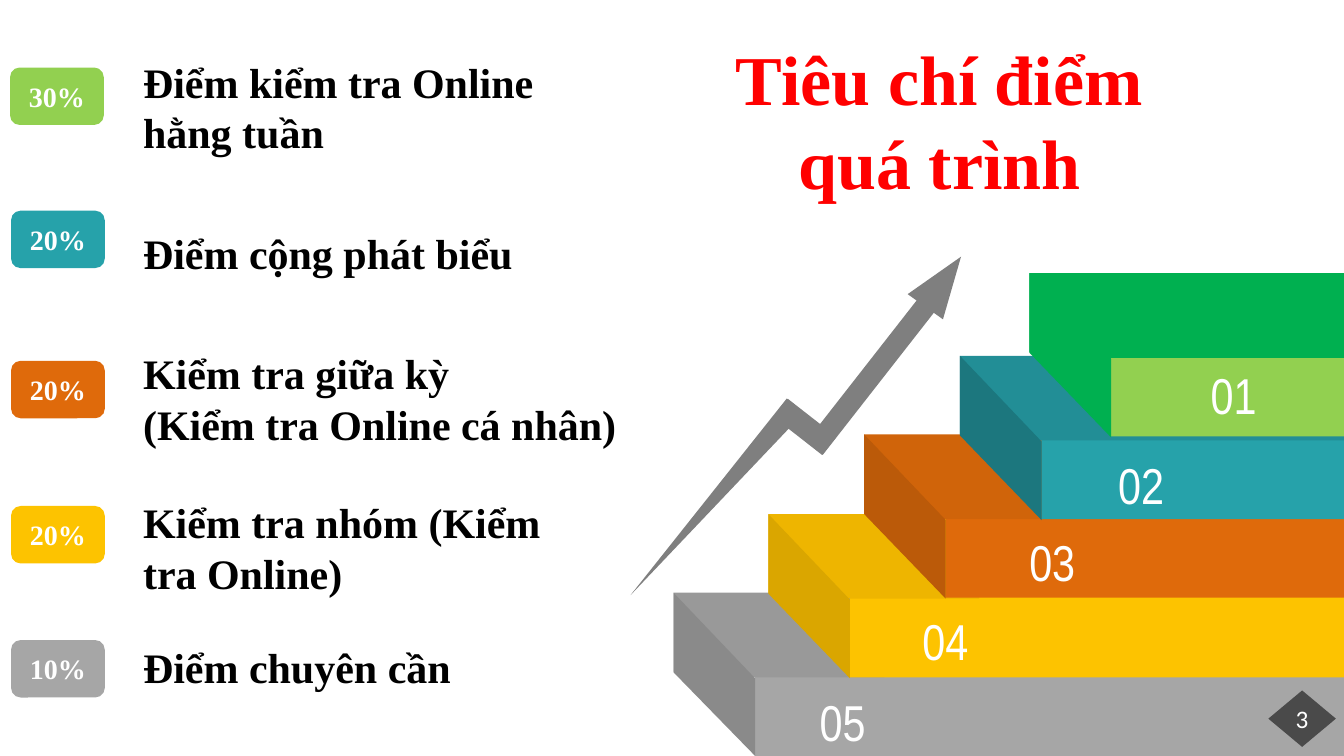
from lxml import etree
from pptx import Presentation
from pptx.dml.color import RGBColor
from pptx.enum import shapes, text
from pptx.oxml.ns import qn
from pptx.util import Inches, Pt

SLIDE_W, SLIDE_H = 13.33, 7.5
COLORS = {
    "green": "92D050", "green_dark": "00B050",
    "teal": "26A2AA", "teal_top": "228E96", "teal_side": "1C777E",
    "orange": "DF6A0B", "orange_top": "D0640A", "orange_side": "BB5A09",
    "yellow": "FDC300", "yellow_top": "EEB500", "yellow_side": "DAA600",
    "gray": "A6A6A6", "gray_top": "999999", "gray_side": "8A8A8A",
    "arrow": "7F7F7F", "title": "FF0000", "black": "000000", "white": "FFFFFF",
}
SERIF = "Times New Roman"
TITLE = ["Tiêu chí điểm ", "quá trình "]

# share, badge left and top, badge colour, lines, label top, label width, label height
CRITERIA = [
    ("30%", 0.10, 0.67, "green", ["Điểm kiểm tra Online hằng tuần"], 0.51, 4.81, 1.11),
    ("20%", 0.11, 2.09, "teal", ["Điểm cộng phát biểu"], 2.21, 4.81, 0.6),
    ("20%", 0.11, 3.58, "orange",
     ["Kiểm tra giữa kỳ", "(Kiểm tra Online cá nhân)"], 3.4, 5.89, 1.11),
    ("20%", 0.11, 5.02, "yellow", ["Kiểm tra nhóm (Kiểm tra Online)"], 4.88, 4.42, 1.11),
    ("10%", 0.11, 6.35, "gray", ["Điểm chuyên cần"], 6.32, 5.61, 0.6),
]

# number, number left and top, step left and top, right end of top, front, top and side colours
STEPS = [
    ("05", 8.03, 6.81, 6.68, 5.88, 8.77, "gray", "gray_top", "gray_side"),
    ("04", 9.05, 6.0, 7.62, 5.1, 9.71, "yellow", "yellow_top", "yellow_side"),
    ("03", 10.11, 5.22, 8.57, 4.31, 10.67, "orange", "orange_top", "orange_side"),
    ("02", 10.99, 4.46, 9.52, 3.53, SLIDE_W, "teal", "teal_top", "teal_side"),
    ("01", 11.91, 3.56, 10.21, 2.71, SLIDE_W, "green", "green_dark", "green_dark"),
]
STEP_RUN, STEP_DEPTH, STEP_HEIGHT = 0.81, 0.84, 0.79

# preset, left, top, width, height, rotation
ARROW = [
    ("ISOSCELES_TRIANGLE", 6.96, 3.72, 0.22, 2.49, 221),
    ("RECTANGLE", 7.87, 3.93, 0.23, 0.61, 308),
    ("RECTANGLE", 7.73, 3.63, 1.81, 0.21, 308),
    ("ISOSCELES_TRIANGLE", 9.14, 2.49, 0.43, 0.61, 35.5),
]

prs = Presentation()
prs.slide_width, prs.slide_height = Inches(SLIDE_W), Inches(SLIDE_H)
slide = prs.slides.add_slide(prs.slide_layouts[6])


def paint(part, color):
    part.shadow.inherit = False
    part.fill.solid()
    part.fill.fore_color.rgb = RGBColor.from_string(COLORS[color])
    part.line.fill.background()
    return part


def add_preset(preset, left, top, width, height, color):
    part = slide.shapes.add_shape(getattr(shapes.MSO_SHAPE, preset),
                                  *map(Inches, (left, top, width, height)))
    return paint(part, color)


def add_outline(points, color):
    start, *rest = [(Inches(x), Inches(y)) for x, y in points]
    builder = slide.shapes.build_freeform(*start)
    builder.add_line_segments(rest, close=True)
    paint(builder.convert_to_shape(), color)


def write(part, lines, size, font, color, bold=False, centered=False, wrap=True):
    frame = part.text_frame
    frame.word_wrap = wrap
    frame.text = "\n".join(lines)
    for paragraph in frame.paragraphs:
        paragraph.alignment = text.PP_ALIGN.CENTER if centered else text.PP_ALIGN.LEFT
        for run in paragraph.runs:
            run.font.size, run.font.name, run.font.bold = Pt(size), font, bold
            run.font.color.rgb = RGBColor.from_string(COLORS[color])


def add_text(left, top, width, height, *args, **kwargs):
    box = slide.shapes.add_textbox(*map(Inches, (left, top, width, height)))
    write(box, *args, **kwargs)


# Staircase, from the lowest step up
for number, num_x, num_y, x, y, top_right, front, top, side in STEPS:
    front_x, front_y = x + STEP_RUN, y + STEP_DEPTH
    notch = 0.11 if top_right == SLIDE_W else 0.06
    add_preset("RECTANGLE", front_x, front_y - 0.02, SLIDE_W - front_x, 0.8, front)
    add_outline([(x, y), (top_right, y), (top_right, front_y),
                 (x + notch, front_y), (x, y + 0.78)], top)
    add_outline([(x, y), (front_x, front_y + 0.01),
                 (front_x, min(front_y + STEP_HEIGHT, SLIDE_H)),
                 (x, y + STEP_HEIGHT)], side)

# Step numbers
for number, num_x, num_y, *_ in STEPS:
    add_text(num_x, num_y, 0.72, 0.71, [number], 36, "Arial Narrow", "white", wrap=False)

# Rising arrow
for preset, left, top, width, height, rotation in ARROW:
    add_preset(preset, left, top, width, height, "arrow").rotation = rotation

# Criteria with their share of the grade
for share, badge_x, badge_y, color, lines, label_y, label_w, label_h in CRITERIA:
    badge = add_preset("ROUNDED_RECTANGLE", badge_x, badge_y, 0.93, 0.57, color)
    write(badge, [share], 20, SERIF, "white", bold=True, centered=True)
    add_text(1.32, label_y, label_w, label_h, lines, 30, SERIF, "black", bold=True)

# Title
add_text(5.32, 0.3, 8.17, 1.78, TITLE, 50, SERIF, "title", bold=True, centered=True)

# Page number on a translucent diamond
page_mark = add_preset("DIAMOND", 12.58, 6.85, 0.67, 0.56, "black")
fill_color = page_mark.fill._xPr.find(qn("a:solidFill"))[0]
etree.SubElement(fill_color, qn("a:alpha"), val="55000")
write(page_mark, ["3"], 18, "Calibri", "white", centered=True)

prs.save("out.pptx")
